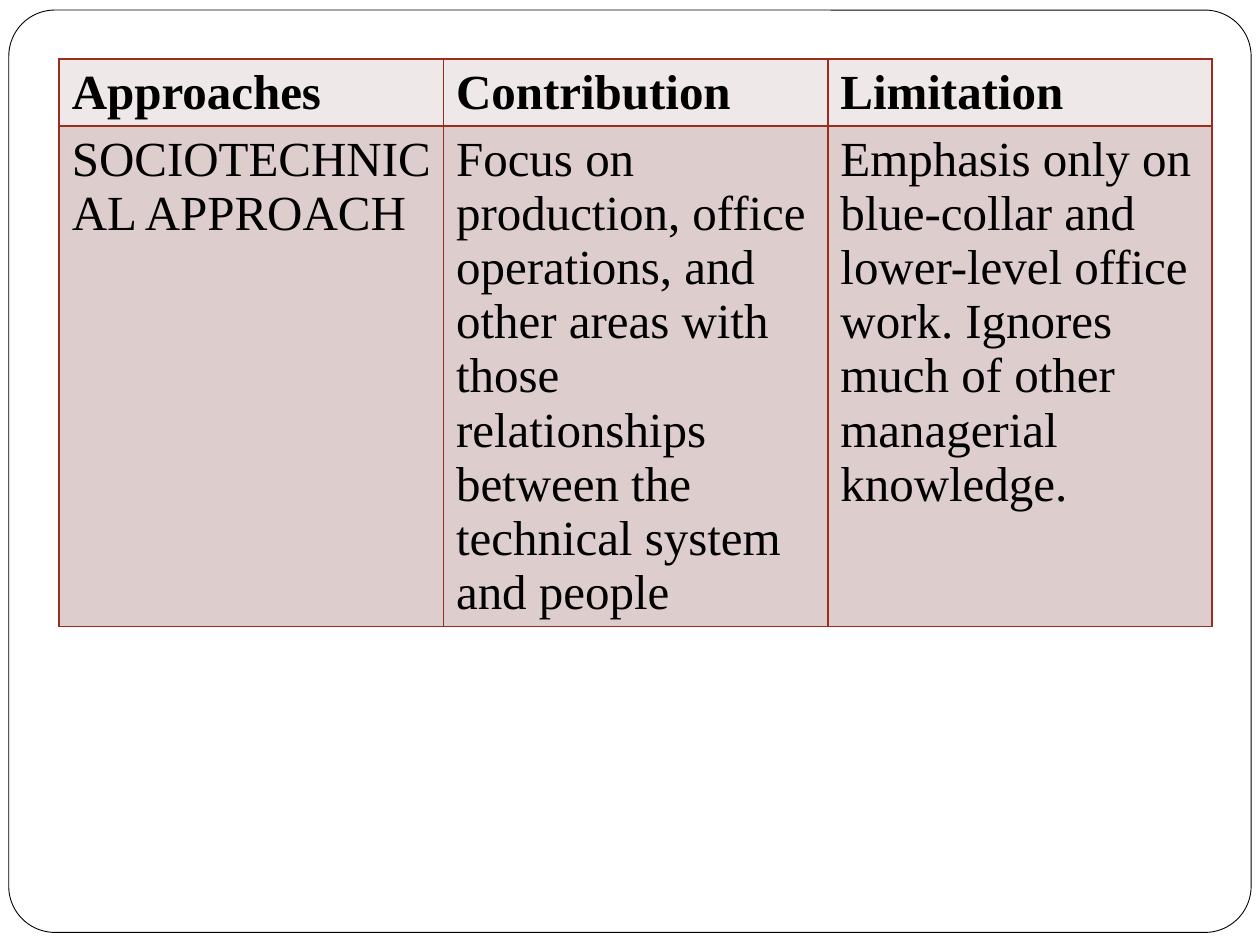
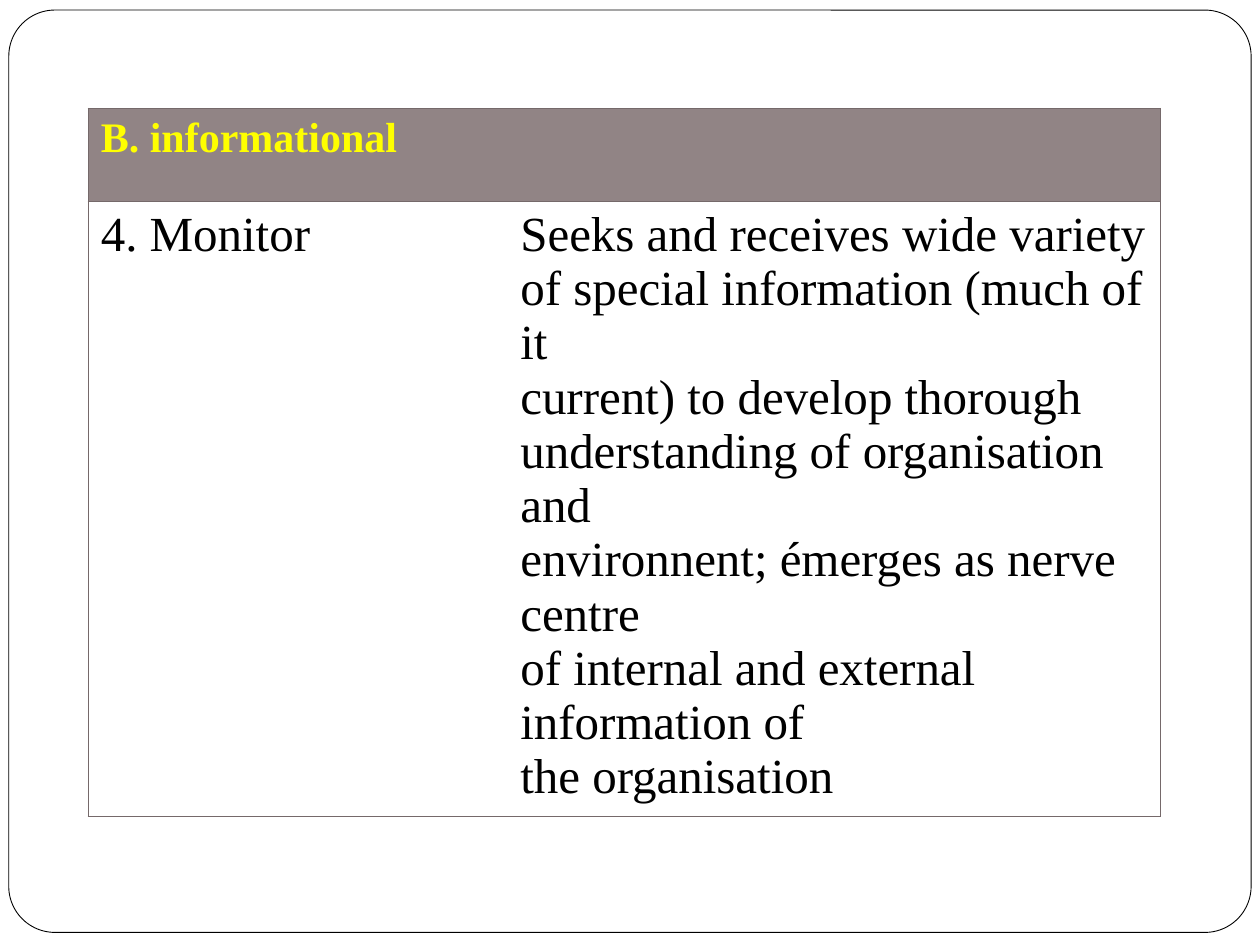
"""Build two slides, each with one table inside a rounded frame."""
from dataclasses import dataclass
from typing import Any

from lxml.etree import SubElement
from pptx import Presentation
from pptx.dml.color import RGBColor
from pptx.enum.shapes import MSO_SHAPE
from pptx.oxml.ns import qn
from pptx.util import Emu, Inches, Pt

FONT = "Times New Roman"
BLACK, WHITE, YELLOW = "000000", "FFFFFF", "FFFF00"
RUST, TAUPE, STONE = "9B2D1F", "75696A", "918485"
PALE, ROSE = "EFE8E8", "DECDCD"
COLS = 100
PLAIN = "{2D5ABB26-0587-4C30-8999-92F81FD0307C}"
FRAME = (0.7, 0.8, 98.6, 73.2)


@dataclass(frozen=True)
class Row:
    """A table row: height in grid rows, look, and lines for each cell."""
    high: float
    fill: str
    ink: str
    size: int
    bold: bool
    cells: list[list[str]]


@dataclass(frozen=True)
class Grid:
    """A table: place and column widths in grid units, edges, and rows."""
    left: float
    top: float
    wide: list[float]
    edge: str
    weight: float
    inner: bool
    rows: list[Row]


def unit(count: float) -> Emu:
    """Turn a count of grid units into a length."""
    return Emu(round(count * Inches(10) / COLS))


def tint(code: str) -> RGBColor:
    """Turn a hex string into a colour."""
    return RGBColor.from_string(code)


def draw_frame(slide: Any) -> None:
    """Draw the rounded frame that all slides share."""
    frame = slide.shapes.add_shape(
        MSO_SHAPE.ROUNDED_RECTANGLE, *map(unit, FRAME))
    frame.adjustments[0] = 0.05
    frame.shadow.inherit = False
    frame.fill.solid()
    frame.fill.fore_color.rgb = tint(WHITE)
    frame.line.color.rgb = tint(BLACK)
    frame.line.width = Pt(0.5)


def draw_edges(cell: Any, grid: Grid, first: bool, last: bool) -> None:
    """Rule a cell, leaving out column rules where the grid has none."""
    shown = {"lnL": first or grid.inner, "lnR": last or grid.inner,
             "lnT": True, "lnB": True}
    props = cell._tc.get_or_add_tcPr()
    for side, on in shown.items():
        line = SubElement(props, qn(f"a:{side}"), w=str(Pt(grid.weight)))
        if on:
            fill = SubElement(line, qn("a:solidFill"))
            SubElement(fill, qn("a:srgbClr"), val=grid.edge)
        else:
            SubElement(line, qn("a:noFill"))


def write_cell(cell: Any, row: Row, lines: list[str]) -> None:
    """Fill a cell and write its lines as paragraphs."""
    cell.fill.solid()
    cell.fill.fore_color.rgb = tint(row.fill)
    frame = cell.text_frame
    for spot, line in enumerate(lines):
        para = frame.add_paragraph() if spot else frame.paragraphs[0]
        run = para.add_run()
        run.text = line
        run.font.name = FONT
        run.font.size = Pt(row.size)
        run.font.bold = row.bold
        run.font.color.rgb = tint(row.ink)


def draw_grid(slide: Any, grid: Grid) -> None:
    """Draw a table with its rows, rules and text."""
    high = sum(row.high for row in grid.rows)
    table = slide.shapes.add_table(
        len(grid.rows), len(grid.wide), unit(grid.left), unit(grid.top),
        unit(sum(grid.wide)), unit(high)).table
    table._tbl.tblPr.find(qn("a:tableStyleId")).text = PLAIN
    table.horz_banding = False
    for col, wide in zip(table.columns, grid.wide):
        col.width = unit(wide)
    end = len(grid.wide) - 1
    for down, row in enumerate(grid.rows):
        table.rows[down].height = unit(row.high)
        for across, lines in enumerate(row.cells):
            cell = table.cell(down, across)
            draw_edges(cell, grid, across == 0, across == end)
            write_cell(cell, row, lines)


GRIDS = [
    Grid(4.7, 4.7, [30.5] * 3, RUST, 1, True, [
        Row(5.3, PALE, BLACK, 28, True,
            [["Approaches"], ["Contribution"], ["Limitation"]]),
        Row(39.7, ROSE, BLACK, 28, False, [
            ["SOCIOTECHNICAL APPROACH"],
            ["Focus on",
             "production, office operations, and",
             "other areas with those relationships",
             "between the technical system and people"],
            ["Emphasis only on blue-collar and",
             "lower-level office work. Ignores",
             "much of other managerial knowledge."]])]),
    Grid(7, 8.6, [33.3, 51.8], TAUPE, 0.75, False, [
        Row(7.4, STONE, YELLOW, 24, True, [["B. informational"], []]),
        Row(48.8, WHITE, BLACK, 28, False, [
            ["4. Monitor"],
            ["Seeks and receives wide variety of special information "
             "(much of it",
             "current) to develop thorough",
             "understanding of organisation and",
             "environnent; émerges as nerve centre",
             "of internal and external information of",
             "the organisation"]])]),
]


def main() -> None:
    """Build the deck and save it."""
    deck = Presentation()
    deck.slide_width, deck.slide_height = unit(COLS), unit(75)
    for grid in GRIDS:
        slide = deck.slides.add_slide(deck.slide_layouts[6])
        draw_frame(slide)
        draw_grid(slide, grid)
    deck.save("out.pptx")


main()
